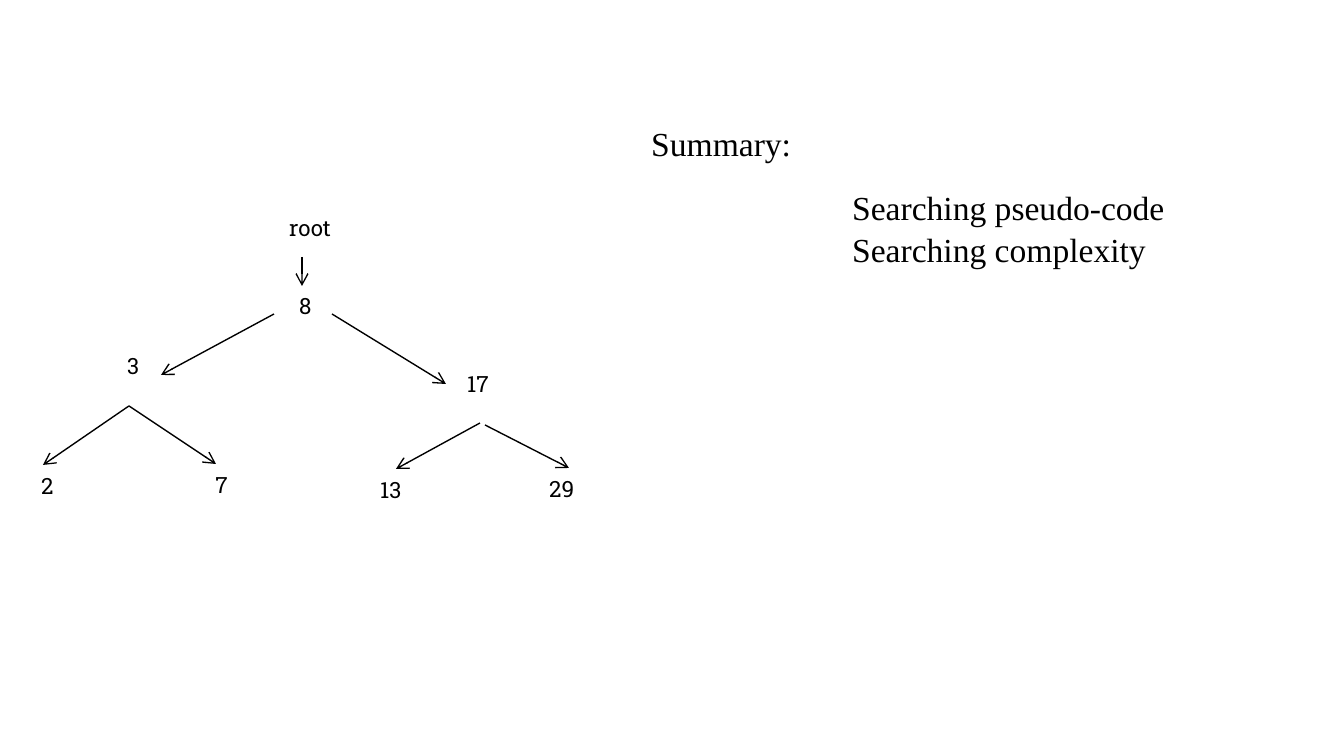
from pptx import Presentation
from pptx.dml.color import RGBColor as RGB
from pptx.enum.shapes import MSO_CONNECTOR as CONN
from pptx.oxml.ns import qn
from pptx.util import Pt
from lxml.etree import SubElement

PX = 914400 / 134.4
THEME = {
    "ink": RGB(0, 0, 0),
    "paper": RGB(255, 255, 255),
    "node": ("Roboto Slab", Pt(12)),
    "summary": ("Times New Roman", Pt(18)),
    "line": Pt(0.75),
}


def px(*lengths):
    return [round(n * PX) for n in lengths]


def add_text(shapes, box, lines, style, wrap, top=7, spacing=None):
    tf = shapes.add_textbox(*px(*box)).text_frame
    tf.word_wrap = wrap
    tf.margin_top, = px(top)
    tf.text = "\n".join(lines)
    for p in tf.paragraphs:
        p.line_spacing = spacing
        for r in p.runs:
            r.font.name, r.font.size = THEME[style]
            r.font.color.rgb = THEME["ink"]


prs = Presentation()
prs.slide_width, prs.slide_height = px(1344, 756)
s = prs.slides.add_slide(prs.slide_layouts[6])
s.background.fill.solid()
s.background.fill.fore_color.rgb = THEME["paper"]

tree = s.shapes.add_group_shape().shapes

nodes = [
    ("2", 28, 465, 28),
    ("3", 114, 345, 28),
    ("7", 202, 464, 28),
    ("8", 286, 285, 28),
    ("13", 367, 469, 58),
    ("17", 454, 363, 51),
    ("29", 536, 468, 63),
    ("root", 276, 207, 89),
]
for label, x, y, w in nodes:
    add_text(tree, (x, y, w, 60), [label], "node", True)

edges = [
    (302, 257, 302, 286),
    (274, 314, 161, 375),
    (332, 314, 446, 384),
    (129, 406, 43, 465),
    (129, 406, 216, 464),
    (480, 423, 396, 469),
    (485, 425, 569, 468),
]
for edge in edges:
    c = tree.add_connector(CONN.STRAIGHT, *px(*edge))
    c.line.color.rgb = THEME["ink"]
    c.line.width = THEME["line"]
    SubElement(c.line._get_or_add_ln(), qn("a:tailEnd"), type="arrow")
    SubElement(c._element.spPr, qn("a:effectLst"))

add_text(s.shapes, (638, 112, 168, 95), ["Summary:"], "summary", False, 9, 1.04)
add_text(s.shapes, (839, 176, 343, 136),
         ["Searching pseudo-code", "Searching complexity"], "summary", False, 9, 1.04)

prs.save("out.pptx")
